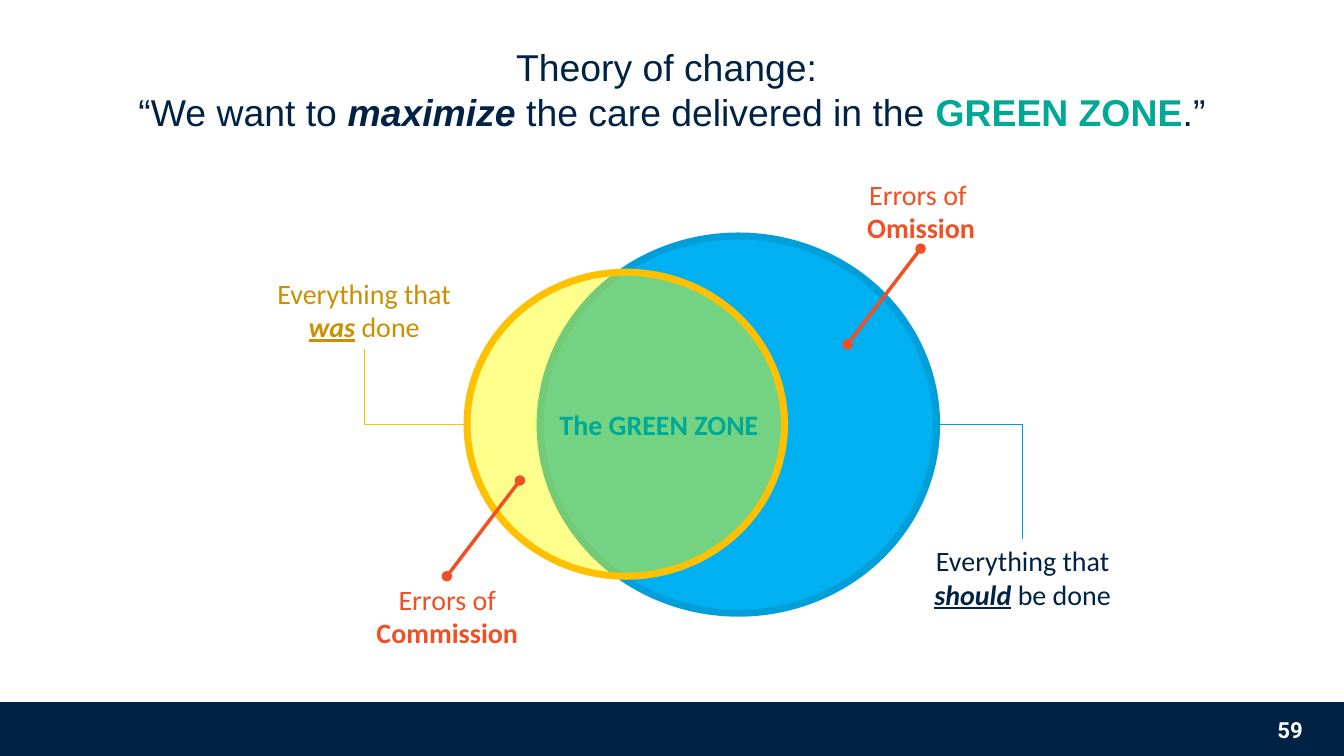
from lxml import etree
from pptx import Presentation
from pptx.dml.color import RGBColor
from pptx.enum.shapes import MSO_CONNECTOR, MSO_SHAPE
from pptx.enum.text import MSO_ANCHOR, MSO_AUTO_SIZE, PP_ALIGN
from pptx.oxml.ns import qn
from pptx.util import Inches, Pt

RECT, ELLIPSE = MSO_SHAPE.RECTANGLE, MSO_SHAPE.OVAL
STRAIGHT, ELBOW = MSO_CONNECTOR.STRAIGHT, MSO_CONNECTOR.ELBOW
CENTER, RIGHT = PP_ALIGN.CENTER, PP_ALIGN.RIGHT
TOP, MIDDLE = MSO_ANCHOR.TOP, MSO_ANCHOR.MIDDLE
NO_FIT = MSO_AUTO_SIZE.NONE
TITLE_ONLY = 5

NAVY = RGBColor(0x00, 0x22, 0x44)
WHITE = RGBColor(0xFF, 0xFF, 0xFF)
SKY = RGBColor(0x00, 0xB0, 0xF0)
BLUE = RGBColor(0x00, 0x9F, 0xDA)
LINK_BLUE = RGBColor(0x00, 0x9B, 0xD5)
YELLOW = RGBColor(0xFF, 0xFF, 0x00)
AMBER = RGBColor(0xFF, 0xC0, 0x00)
OCHRE = RGBColor(0xCB, 0x8F, 0x02)
ORANGE = RGBColor(0xF0, 0x50, 0x23)
GREEN = RGBColor(0x00, 0xA9, 0x96)

BOLD = {"bold": True}
BOLD_ITALIC = {"bold": True, "italic": True}
STRESSED = {"bold": True, "italic": True, "underline": True}
LABEL_WIDTH = 2.83


def write(tf, paragraphs, color, size=24, font="Calibri", align=CENTER):
    """Each paragraph is a list of (text, format) runs."""
    for i, runs in enumerate(paragraphs):
        p = tf.paragraphs[0] if i == 0 else tf.add_paragraph()
        p.alignment = align
        for text, formats in runs:
            r = p.add_run()
            r.text = text
            r.font.name, r.font.size = font, Pt(size)
            r.font.color.rgb = formats.get("color", color)
            for name, value in formats.items():
                if name != "color":
                    setattr(r.font, name, value)


def add_label(s, left, top, paragraphs, color, height=0.91):
    box = s.shapes.add_textbox(Inches(left), Inches(top),
                               Inches(LABEL_WIDTH), Inches(height))
    box.text_frame.word_wrap = True
    write(box.text_frame, paragraphs, color)


def add_filled(s, kind, box, fill, line=None, opacity=None):
    sp = s.shapes.add_shape(kind, *map(Inches, box))
    sp.shadow.inherit = False
    sp.fill.solid()
    sp.fill.fore_color.rgb = fill
    if opacity:
        color = sp._element.spPr.find(qn("a:solidFill"))[0]
        etree.SubElement(color, qn("a:alpha"), val=str(opacity * 1000))
    if line:
        sp.line.color.rgb = line
        sp.line.width = Pt(6)
    else:
        sp.line.fill.background()


def add_link(s, kind, start, end, color, width):
    link = s.shapes.add_connector(kind, *map(Inches, start + end))
    link.line.color.rgb = color
    link.line.width = Pt(width)
    spPr = link._element.spPr
    if kind == ELBOW:  # a single corner
        spPr.find(qn("a:prstGeom")).set("prst", "bentConnector2")
    else:  # dots at both ends
        for tag in ("a:headEnd", "a:tailEnd"):
            etree.SubElement(spPr.find(qn("a:ln")), qn(tag), type="oval")
    etree.SubElement(spPr, qn("a:effectLst"))


def add_title(s):
    title = s.shapes.title
    title.left, title.top = Inches(1.5), Inches(0.48)
    title.width, title.height = Inches(13), Inches(1.18)
    tf = title.text_frame
    tf.word_wrap, tf.auto_size, tf.vertical_anchor = False, NO_FIT, TOP
    write(tf, [
        [("Theory of change: ", {})],
        [("“We want to ", {}), ("maximize", BOLD_ITALIC),
         (" the care delivered in the ", {}),
         ("GREEN ZONE", {"bold": True, "color": GREEN}), (".”", {})],
    ], NAVY, size=32, font="Arial")


def add_footer(s):
    add_filled(s, RECT, (0, 8.36, 16, 0.64), NAVY)
    box = s.shapes.add_textbox(Inches(11.94), Inches(8.44),
                               Inches(3.73), Inches(0.48))
    tf = box.text_frame
    tf.word_wrap, tf.vertical_anchor = True, MIDDLE
    tf.margin_left = tf.margin_right = Inches(0.16)
    tf.margin_top = tf.margin_bottom = Inches(0.08)
    write(tf, [[("59", BOLD)]], WHITE, size=19, font="Roboto", align=RIGHT)


def main():
    prs = Presentation()
    prs.slide_width, prs.slide_height = Inches(16), Inches(9)
    s = prs.slides.add_slide(prs.slide_layouts[TITLE_ONLY])
    add_title(s)
    add_footer(s)

    # Overlapping circles
    add_filled(s, ELLIPSE, (6.43, 2.81, 4.72, 4.49), SKY, BLUE)
    add_filled(s, ELLIPSE, (5.56, 3.24, 3.78, 3.62), YELLOW, AMBER, opacity=45)

    # Links from the circles to their labels
    add_link(s, ELBOW, (11.15, 5.05), (12.17, 6.42), LINK_BLUE, 0.75)
    add_link(s, ELBOW, (5.56, 5.05), (4.34, 4.15), AMBER, 0.75)
    add_link(s, STRAIGHT, (6.19, 5.72), (5.32, 6.86), ORANGE, 3)
    add_link(s, STRAIGHT, (10.96, 2.96), (10.09, 4.1), ORANGE, 3)

    # Labels
    add_label(s, 10.76, 6.42, [[("Everything that ", {}), ("should", STRESSED),
                                (" be done", {})]], NAVY)
    add_label(s, 2.92, 3.24, [[("Everything that ", {}), ("was", STRESSED),
                               (" done", {})]], OCHRE)
    add_label(s, 3.91, 6.88, [[("Errors of ", {}), ("Commission", BOLD)]], ORANGE)
    add_label(s, 9.55, 2.06, [[("Errors of ", {})], [("Omission", BOLD)]], ORANGE)
    add_label(s, 6.43, 4.8, [[("The GREEN ZONE", BOLD)]], GREEN, height=0.5)

    prs.save("out.pptx")


if __name__ == "__main__":
    main()
